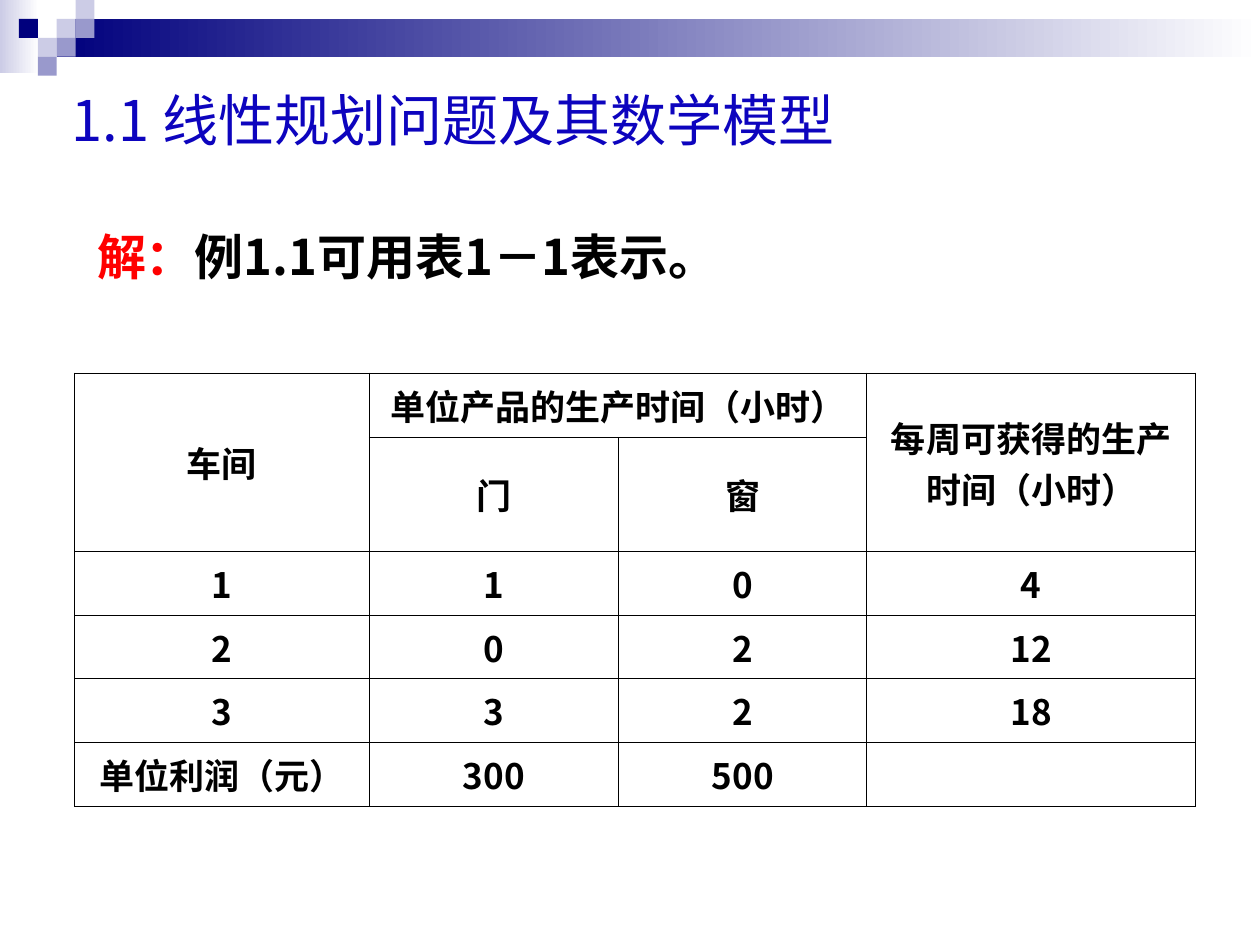
from dataclasses import dataclass

from lxml.etree import SubElement
from pptx import Presentation
from pptx.dml.color import RGBColor as RGB
from pptx.enum.shapes import MSO_SHAPE
from pptx.enum.text import MSO_ANCHOR as ANCHOR, MSO_AUTO_SIZE as AUTO, PP_ALIGN as ALIGN
from pptx.oxml import parse_xml
from pptx.oxml.ns import nsdecls, qn
from pptx.util import Inches, Pt


@dataclass(frozen=True)
class Theme:
    font: str = "Noto Sans CJK SC"
    title: str = "0D04BE"
    accent: str = "FF0000"
    text: str = "000000"
    navy: str = "00007D"
    mid: str = "9999CC"
    pale: str = "CCCCE6"
    white: str = "FFFFFF"
    title_size: int = 32
    body_size: int = 28
    table_size: int = 20
    border: float = 0.45


T = Theme()

TITLE = [("1.1 线性规划问题及其数学模型", T.title)]
BODY = [("解：", T.accent), ("例1.1可用表1－1表示。", T.text)]
ROWS = [
    ("车间", "单位产品的生产时间（小时）", "", "每周可获得的生产时间（小时）"),
    ("", "门", "窗", ""),
    ("1", "1", "0", "4"),
    ("2", "0", "2", "12"),
    ("3", "3", "2", "18"),
    ("单位利润（元）", "300", "500", ""),
]
MERGES = [((0, 0), (1, 0)), ((0, 1), (0, 2)), ((0, 3), (1, 3))]
COL_WIDTHS = [2.34, 1.98, 1.97, 2.61]
ROW_HEIGHTS = [0.51, 0.91, 0.43, 0.43, 0.43, 0.51]
BARS = [
    ((0, 0, 0.31, 0.58), T.pale),
    ((0.45, 0.15, 9.55, 0.3), T.navy),
]
STEP = 0.15
SQUARES = [
    (3, 1, T.pale), (4, 0, T.pale), (4, 1, T.mid), (2, 2, T.pale),
    (1, 1, T.navy), (3, 2, T.mid), (2, 3, T.mid),
]


def add_runs(p, runs, size, bold):
    for text, color in runs:
        r = p.add_run()
        r.text = text
        r.font.size = Pt(size)
        r.font.bold = bold
        r.font.color.rgb = RGB.from_string(color)
        r.font.name = T.font
        SubElement(r.font._element, qn("a:ea"), typeface=T.font)


def add_rect(slide, box):
    sp = slide.shapes.add_shape(MSO_SHAPE.RECTANGLE, *map(Inches, box))
    sp.shadow.inherit = False
    sp.line.fill.background()
    return sp


def add_decoration(slide):
    for box, color in BARS:
        fill = add_rect(slide, box).fill
        fill.gradient()
        fill.gradient_angle = 0
        for stop, position, rgb in zip(fill.gradient_stops, (0, 1), (color, T.white)):
            stop.position = position
            stop.color.rgb = RGB.from_string(rgb)
    for col, row, color in SQUARES:
        fill = add_rect(slide, (col * STEP, row * STEP, STEP, STEP)).fill
        fill.solid()
        fill.fore_color.rgb = RGB.from_string(color)


def fill_placeholder(sp, box, runs, size, bold, align, anchor):
    sp.left, sp.top, sp.width, sp.height = map(Inches, box)
    tf = sp.text_frame
    tf.word_wrap = True
    tf.auto_size = AUTO.NONE
    tf.vertical_anchor = anchor
    p = tf.paragraphs[0]
    pPr = p._p.get_or_add_pPr()
    pPr.set("marL", "0")
    pPr.set("indent", "0")
    SubElement(pPr, qn("a:buNone"))
    p.alignment = align
    p.space_before = Pt(0)
    add_runs(p, runs, size, bold)
    return tf


def set_borders(cell):
    tcPr = cell._tc.get_or_add_tcPr()
    for i, side in enumerate("LRTB"):
        tcPr.insert(i, parse_xml(
            f'<a:ln{side} {nsdecls("a")} w="{int(Pt(T.border))}"><a:solidFill>'
            f'<a:srgbClr val="{T.text}"/></a:solidFill></a:ln{side}>'))


def add_time_table(slide):
    table = slide.shapes.add_table(
        len(ROWS), len(COL_WIDTHS), Inches(0.59), Inches(2.96),
        Inches(sum(COL_WIDTHS)), Inches(sum(ROW_HEIGHTS))).table
    for col, width in zip(table.columns, COL_WIDTHS):
        col.width = Inches(width)
    for row, height in zip(table.rows, ROW_HEIGHTS):
        row.height = Inches(height)
    for i, values in enumerate(ROWS):
        for j, text in enumerate(values):
            cell = table.cell(i, j)
            cell.fill.background()
            set_borders(cell)
            cell.vertical_anchor = ANCHOR.MIDDLE
            if text:
                p = cell.text_frame.paragraphs[0]
                p.alignment = ALIGN.CENTER
                add_runs(p, [(text, T.text)], T.table_size, True)
    for first, last in MERGES:
        table.cell(*first).merge(table.cell(*last))


def main():
    prs = Presentation()
    prs.slide_width, prs.slide_height = Inches(10), Inches(7.5)
    slide = prs.slides.add_slide(prs.slide_layouts[1])
    add_decoration(slide)
    title, body = slide.placeholders
    fill_placeholder(title, (0.47, 0.64, 6.47, 0.61), TITLE,
                     T.title_size, False, ALIGN.LEFT, ANCHOR.MIDDLE)
    tf = fill_placeholder(body, (0.67, 1.8, 7.87, 0.63), BODY,
                          T.body_size, True, ALIGN.JUSTIFY, ANCHOR.TOP)
    tf.margin_top = 0
    add_time_table(slide)
    prs.save("out.pptx")


if __name__ == "__main__":
    main()
